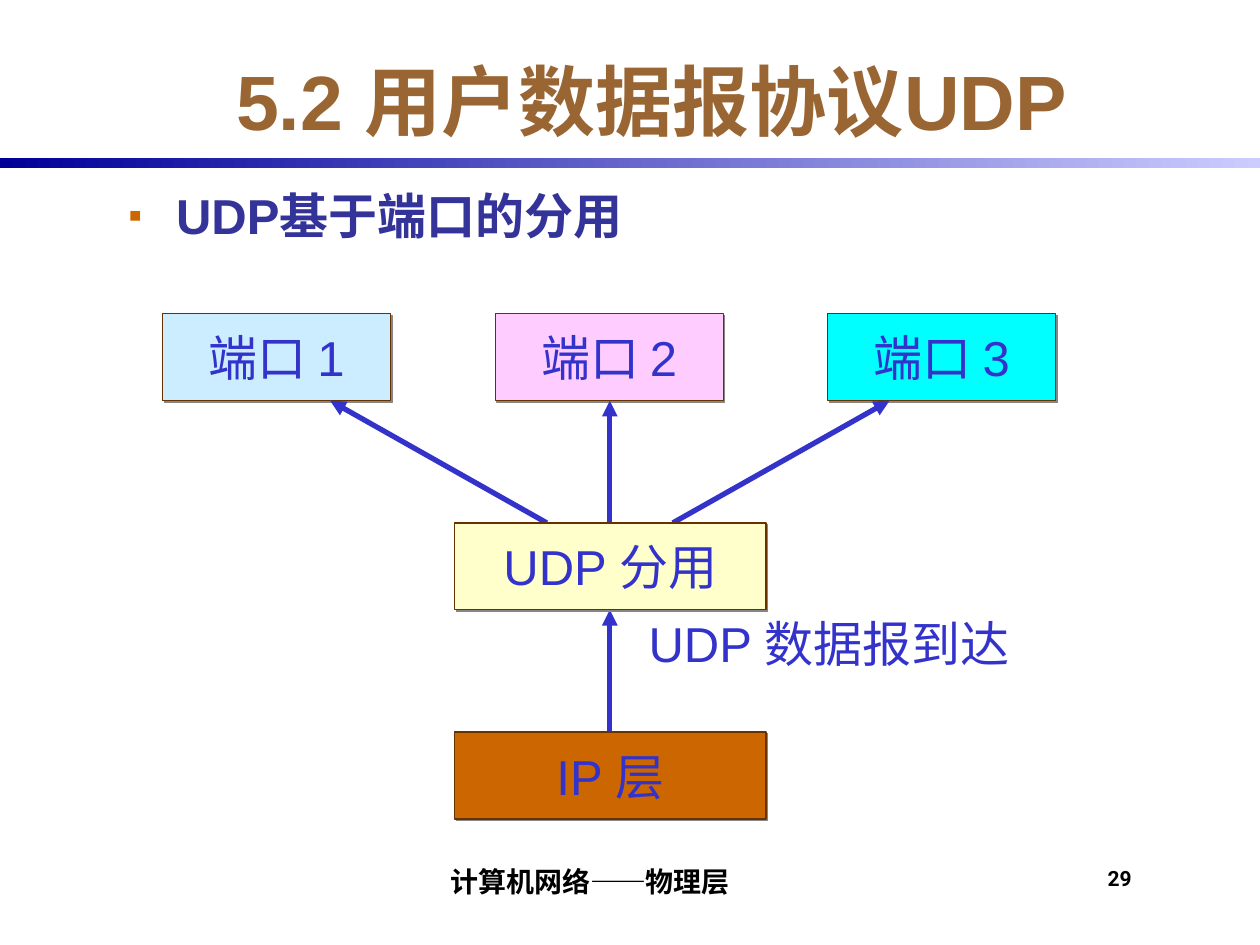
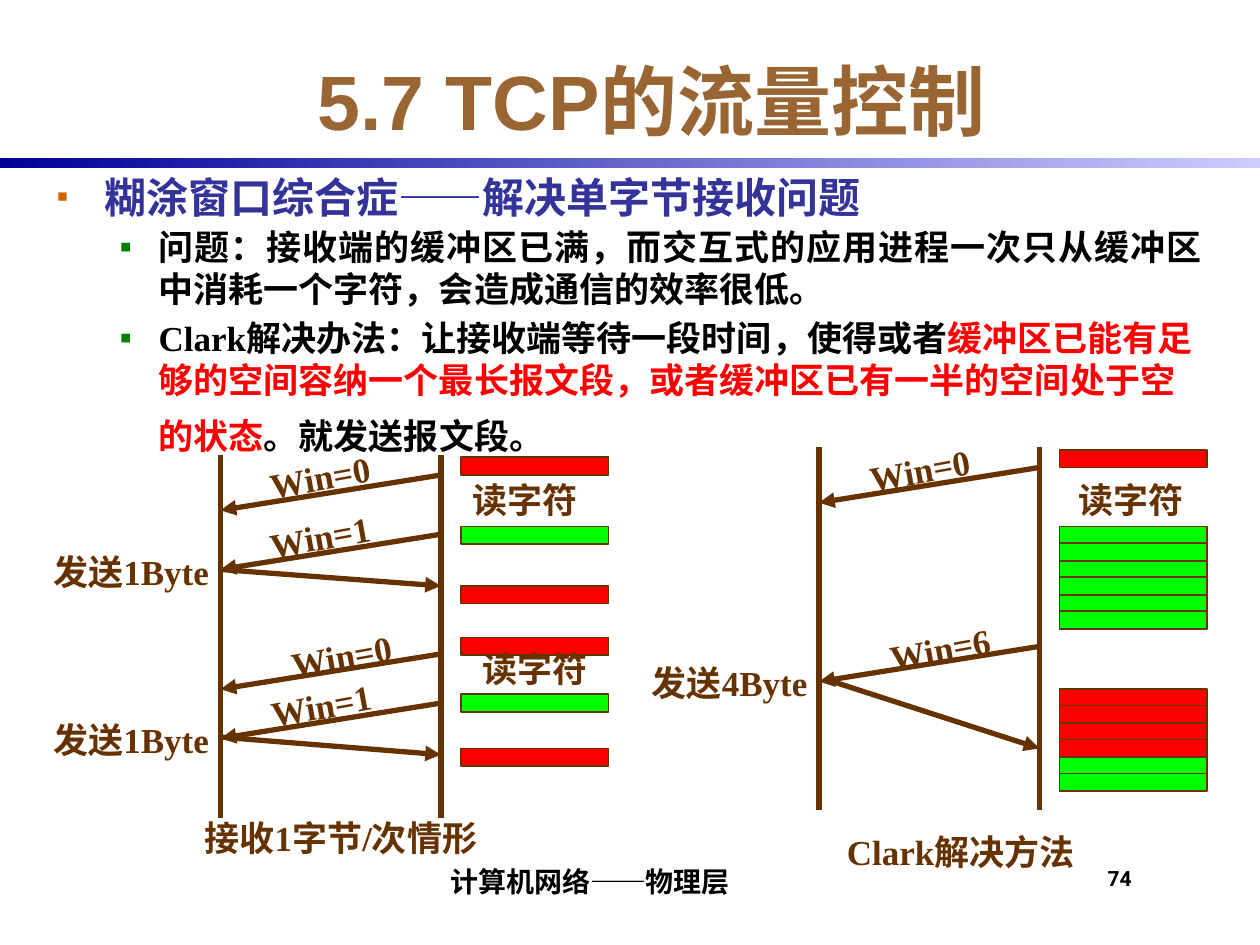
from dataclasses import dataclass

import pptx
import pptx.dml.color
import pptx.enum.shapes
import pptx.enum.text
import pptx.oxml
import pptx.oxml.ns
import pptx.util
from lxml import etree

PX = 9144  # 100 px to the inch
ALIGN = pptx.enum.text.PP_ALIGN
ANCHOR = pptx.enum.text.MSO_ANCHOR
RECT = pptx.enum.shapes.MSO_SHAPE.RECTANGLE


@dataclass(frozen=True)
class Theme:
    title: str = "996633"
    heading: str = "333399"
    bullet: str = "CC6600"
    sub_bullet: str = "008000"
    text: str = "000000"
    alert: str = "FF0000"
    free: str = "00FF00"
    brown: str = "663300"
    blue: str = "3333CC"
    shadow: str = "868686"
    band_start: str = "000099"
    band_end: str = "CCCCFF"
    ports: tuple = ("CCECFF", "FFCCFF", "00FFFF")
    udp: str = "FFFFCC"
    ip: str = "CC6600"
    sans: str = "Arial"
    serif: str = "Times New Roman"
    cjk: str = "Noto Sans CJK SC"
    footer: str = "Roboto"
    title_size: int = 44
    large: int = 28
    medium: int = 24
    small: int = 20
    footer_size: int = 16
    number_size: int = 12


T = Theme()


def font(color, size, name=T.sans, bold=True):
    return {"color": color, "size": pptx.util.Pt(size), "name": name, "bold": bold}


TITLE = font(T.title, T.title_size)
DIAGRAM = font(T.blue, T.large, bold=False)
LABEL = font(T.brown, T.small, T.serif)
BODY = font(T.text, T.small)


def rgb(color):
    return pptx.dml.color.RGBColor.from_string(color)


def px(*lengths):
    return [length * PX for length in lengths]


def sub(parent, tag, **attrs):
    return etree.SubElement(parent, pptx.oxml.ns.qn(tag), attrs)


def assign(obj, values):
    for name, value in values.items():
        setattr(obj, name, value)


def add_runs(p, runs):
    for text, style in runs:
        r = p.add_run()
        r.text = text
        assign(r.font, {k: v for k, v in style.items() if k != "color"})
        r.font.color.rgb = rgb(style["color"])


def add_text(s, box, text, style, align=ALIGN.CENTER, rotation=0, **frame):
    """Add a one-paragraph text box; text is a string or a list of styled runs."""
    sp = s.shapes.add_textbox(*px(*box))
    sp.rotation = rotation
    assign(sp.text_frame, {"word_wrap": True, **frame})
    p = sp.text_frame.paragraphs[0]
    p.alignment = align
    add_runs(p, [(text, style)] if isinstance(text, str) else text)


def add_rect(s, box, fill, line_width=1.0):
    sp = s.shapes.add_shape(RECT, *px(*box))
    sp.shadow.inherit = False
    sp.fill.solid()
    sp.fill.fore_color.rgb = rgb(fill)
    sp.line.color.rgb = rgb(T.brown)
    sp.line.width = pptx.util.Pt(line_width)
    return sp


def add_node(s, box, text, fill):
    """Add a labelled box with a hard offset shadow."""
    sp = add_rect(s, box, fill, 0.75)
    effects = sp._element.spPr.find(pptx.oxml.ns.qn("a:effectLst"))
    shadow = sub(effects, "a:outerShdw", dist="17780", dir="2700000",
                 algn="ctr", rotWithShape="0")
    sub(shadow, "a:srgbClr", val=T.shadow)
    assign(sp.text_frame, {"word_wrap": False, "vertical_anchor": ANCHOR.MIDDLE})
    p = sp.text_frame.paragraphs[0]
    p.alignment = ALIGN.CENTER
    add_runs(p, [(text, DIAGRAM)])


def add_line(s, start, end, color, arrow=True):
    """Add an arrow, or a plain line with square ends."""
    kind = pptx.enum.shapes.MSO_CONNECTOR.STRAIGHT
    c = s.shapes.add_connector(kind, *px(*start, *end))
    c.line.color.rgb = rgb(color)
    c.line.width = pptx.util.Pt(3)
    ln = c.line._get_or_add_ln()
    if arrow:
        sub(ln, "a:tailEnd", type="triangle")
    else:
        ln.set("cap", "sq")
    sub(c._element.spPr, "a:effectLst")


def add_bullets(s, box, items):
    """Add a bulleted list; each item is (level, space before, alignment, runs)."""
    levels = [(38, 38, T.bullet, "80000"), (81, 31, T.sub_bullet, "100000")]
    sp = s.shapes.add_textbox(*px(*box))
    tf = sp.text_frame
    tf.word_wrap = True
    for i, (level, before, align, runs) in enumerate(items):
        p = tf.add_paragraph() if i else tf.paragraphs[0]
        left, hang, color, size = levels[level]
        pPr = p._p.get_or_add_pPr()
        pPr.set("marL", str(left * PX))
        pPr.set("indent", str(-hang * PX))
        sub(sub(pPr, "a:buClr"), "a:srgbClr", val=color)
        sub(pPr, "a:buSzPct", val=size)
        sub(pPr, "a:buFont", typeface=T.sans)
        sub(pPr, "a:buChar", char="▪")
        assign(p, {"level": level, "alignment": align,
                   "space_before": pptx.util.Pt(before)})
        add_runs(p, runs)


def add_slide(prs, title, number):
    s = prs.slides.add_slide(prs.slide_layouts[5])
    band = s.shapes.add_shape(RECT, *px(0, 125, 1000, 8))
    band.shadow.inherit = False
    band.line.fill.background()
    band.fill.gradient()
    band.fill.gradient_angle = 0
    for stop, color in zip(band.fill.gradient_stops, (T.band_start, T.band_end)):
        stop.color.rgb = rgb(color)

    sp = s.shapes.title
    assign(sp, dict(zip(("left", "top", "width", "height"), px(92, 33, 850, 92))))
    assign(sp.text_frame, {"vertical_anchor": ANCHOR.MIDDLE, "word_wrap": True,
                           "auto_size": pptx.enum.text.MSO_AUTO_SIZE.NONE})
    p = sp.text_frame.paragraphs[0]
    p.alignment = ALIGN.CENTER
    add_runs(p, [(title, TITLE)])

    edge = 4 * PX
    add_text(s, (875, 683, 58, 42), number, font(T.text, T.number_size, T.footer),
             ALIGN.LEFT, margin_left=edge, margin_top=edge, margin_right=0,
             margin_bottom=0)
    add_text(s, (208, 675, 517, 42), "计算机网络——物理层",
             font(T.text, T.footer_size, T.footer), margin_left=edge, margin_top=0,
             margin_right=0, margin_bottom=edge, vertical_anchor=ANCHOR.BOTTOM)
    return s


def add_timeline(s, x, top, messages, replies, sends, reads, caption):
    """Draw two lifelines with their messages; places are relative to (x, top)."""
    width = 175
    for line_x in (x, x + width):
        add_line(s, (line_x, top), (line_x, top + 284), T.brown, arrow=False)
    for text, y, label_x in messages:
        add_line(s, (x + width, top + y), (x, top + y + 28), T.brown)
        add_text(s, (x + label_x, top + y - 20, 158, 44), text, LABEL, rotation=-10.3)
    for start_x, y, end_y in replies:
        add_line(s, (x + start_x, top + y), (x + width, top + end_y), T.brown)
    for text, y in sends:
        add_text(s, (x - 150, top + y, 158, 44), text, LABEL)
    for read_x, y in reads:
        add_text(s, (x + read_x, top + y, 150, 44), "读字符", LABEL)
    text, caption_x, y = caption
    add_text(s, (x + caption_x, top + y, 275, 44), text, LABEL)


def add_buffer(s, x, top, colors):
    """Stack one buffer cell for each colour."""
    for i, color in enumerate(colors):
        add_rect(s, (x, top + 27 * i // 2, 117, 14), color)


def build_udp_slide(prs):
    s = add_slide(prs, "5.2 用户数据报协议UDP", "29")
    add_bullets(s, (92, 142, 850, 80), [
        (0, 0, ALIGN.LEFT, [("UDP基于端口的分用", font(T.heading, T.large))])])

    center, port_bottom, udp_top, ip_top, height = 484, 318, 415, 581, 69
    for i, fill in enumerate(T.ports):
        side = i - 1
        add_node(s, (393 + 264 * side, port_bottom - height, 181, height),
                 f"端口 {i + 1}", fill)
        add_line(s, (center + 50 * side, udp_top),
                 (center + 222 * side, port_bottom), T.blue)
    add_line(s, (center, ip_top), (center, udp_top + height), T.blue)
    for text, top, fill in (("UDP 分用", udp_top, T.udp), ("IP 层", ip_top, T.ip)):
        add_node(s, (361, top, 247, height), text, fill)
    add_text(s, (505, 482, 316, 57), "UDP 数据报到达", DIAGRAM, ALIGN.LEFT,
             word_wrap=False)


def build_tcp_slide(prs):
    s = add_slide(prs, "5.7 TCP的流量控制", "74")
    alert = font(T.alert, T.small)
    add_bullets(s, (35, 131, 929, 240), [
        (0, 0, ALIGN.LEFT,
         [("糊涂窗口综合症——解决单字节接收问题", font(T.heading, T.medium))]),
        (1, 2.5, ALIGN.JUSTIFY,
         [("问题：接收端的缓冲区已满，而交互式的应用进程一次只从缓冲区中消耗一个字符，"
           "会造成通信的效率很低。", BODY)]),
        (1, 3.5, ALIGN.LEFT,
         [("Clark", font(T.text, T.small, T.serif)),
          ("解决办法：让接收端等待一段时间，使得或者", BODY),
          ("缓冲区已能有足够的空间容纳一个最长报文段，或者缓冲区已有一半的空间处于空的状态",
           alert),
          ("。就发送报文段。", BODY),
          (" ", font(T.text, T.large))])])

    full, free = T.alert, T.free
    for top, color in ((363, full), (418, free), (465, full),
                       (506, full), (551, free), (594, full)):
        add_buffer(s, 366, top, [color])
    for top, colors in ((357, [full]), (418, [free] * 6),
                        (547, [full] * 4 + [free] * 2)):
        add_buffer(s, 841, top, colors)

    add_timeline(
        s, 175, 363,
        messages=[("Win=0", 14, 0), ("Win=1", 61, 0), ("Win=0", 156, 17),
                  ("Win=1", 195, 1)],
        replies=[(0, 89, 102), (0, 222, 236)],
        sends=[("发送1Byte", 69), ("发送1Byte", 202)],
        reads=[(167, 12), (175, 146)],
        caption=("接收1字节/次情形", -42, 280))
    add_timeline(
        s, 650, 357,
        messages=[("Win=0", 14, 1), ("Win=6", 156, 17)],
        replies=[(8, 183, 237)],
        sends=[("发送4Byte", 163)],
        reads=[(173, 18)],
        caption=([("Clark", LABEL), ("解决方法", {**LABEL, "name": T.cjk})], -25, 297))


def main():
    prs = pptx.Presentation()
    prs.slide_width, prs.slide_height = px(1000, 750)
    build_udp_slide(prs)
    build_tcp_slide(prs)
    prs.save("out.pptx")


if __name__ == "__main__":
    main()
